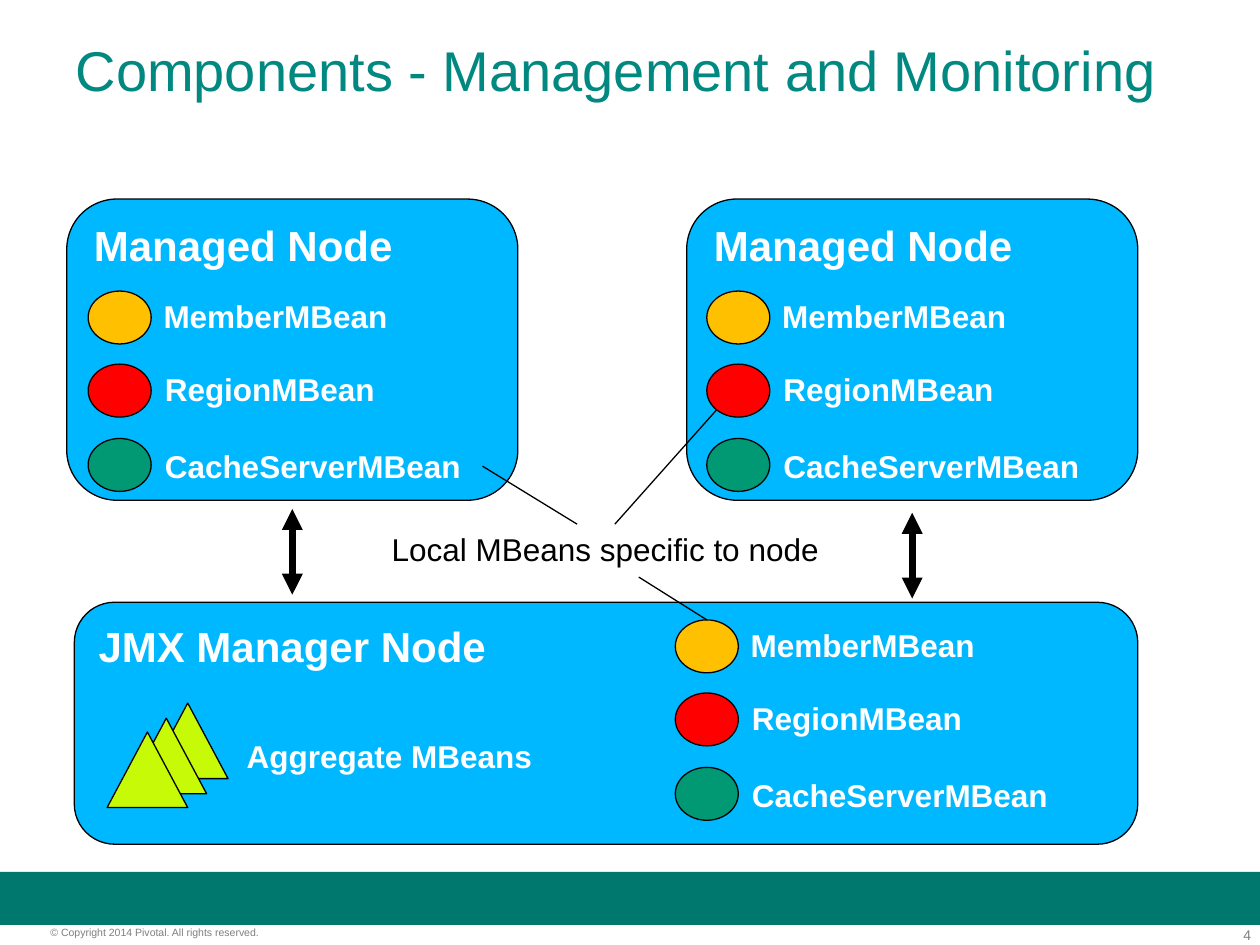
import pptx
import pptx.util
import pptx.dml.color
import pptx.enum.shapes
import pptx.enum.text
import pptx.oxml

PX = 9144
SHAPES = pptx.enum.shapes.MSO_SHAPE
ALIGN = pptx.enum.text.PP_ALIGN
ANCHOR = pptx.enum.text.MSO_ANCHOR
FIT = pptx.enum.text.MSO_AUTO_SIZE


def color(value):
    return pptx.dml.color.RGBColor.from_string(value)


def write(shape, text, size=18, ink="FFFFFF", bold=False, align=ALIGN.LEFT,
          anchor=ANCHOR.TOP, wrap=True, fit=FIT.NONE, inset=(10, 5)):
    frame = shape.text_frame
    frame.word_wrap = wrap
    frame.auto_size = fit
    frame.vertical_anchor = anchor
    frame.margin_left = frame.margin_right = inset[0] * PX
    frame.margin_top = frame.margin_bottom = inset[1] * PX
    para = frame.paragraphs[0]
    para.alignment = align
    span = para.add_run()
    span.text = text
    span.font.name = "Arial"
    span.font.size = pptx.util.Pt(size)
    span.font.bold = bold
    span.font.color.rgb = color(ink)


deck = pptx.Presentation()
deck.slide_width = 1000 * PX
deck.slide_height = 750 * PX
page = deck.slides.add_slide(deck.slide_layouts[5])

band = page.shapes.add_shape(SHAPES.RECTANGLE, 0, 692 * PX, 1000 * PX, 42 * PX)
band.shadow.inherit = False
band.fill.solid()
band.fill.fore_color.rgb = color("00786E")
band.line.fill.background()

title = page.shapes.title
title.left, title.top, title.width, title.height = 50 * PX, -8 * PX, 900 * PX, 125 * PX
write(title, "Components - Management and Monitoring", size=32, ink="008881",
      anchor=ANCHOR.MIDDLE)

outlined = [
    (SHAPES.ROUNDED_RECTANGLE, 59, 478, 844, 192, "00B8FF", "JMX Manager Node"),
    (SHAPES.ROUNDED_RECTANGLE, 53, 158, 358, 239, "00B8FF", "Managed Node"),
    (SHAPES.ROUNDED_RECTANGLE, 545, 158, 358, 239, "00B8FF", "Managed Node"),
]
labels = [
    (301, 416, 374, "Local MBeans specific to node",
     {"ink": "000000", "wrap": False}),
    (186, 580, 249, "Aggregate MBeans", {"bold": True, "wrap": False}),
]
beans = [
    ("MemberMBean", "FFC000", 0, 50, 0),
    ("RegionMBean", "FF0000", 58, 51, 58),
    ("CacheServerMBean", "009973", 117, 51, 119),
]
for left, top in [(70, 231), (561, 231), (536, 492)]:
    for name, fill, drop, label_shift, label_drop in beans:
        outlined.append((SHAPES.OVAL, left, top + drop, 50, 42, fill, ""))
        labels.append((left + label_shift, top + label_drop, 304, name, {"bold": True}))
for left, top in [(117, 558), (100, 570), (85, 581)]:
    outlined.append((SHAPES.ISOSCELES_TRIANGLE, left, top, 64, 60, "C6FA06", ""))

for kind, left, top, width, height, fill, text in outlined:
    shape = page.shapes.add_shape(kind, left * PX, top * PX, width * PX, height * PX)
    shape.shadow.inherit = False
    shape.fill.solid()
    shape.fill.fore_color.rgb = color(fill)
    shape.line.color.rgb = color("000000")
    shape.line.width = pptx.util.Pt(0.75)
    if text:
        write(shape, text, size=24, bold=True)

for left, top, width, text, style in labels:
    box = page.shapes.add_textbox(left * PX, top * PX, width * PX, 40 * PX)
    write(box, text, fit=FIT.SHAPE_TO_FIT_TEXT, **style)

for x1, y1, x2, y2, weight, arrows in [
    (488, 416, 569, 325, 0.75, False),
    (383, 370, 458, 416, 0.75, False),
    (507, 458, 561, 492, 0.75, False),
    (232, 472, 232, 404, 4, True),
    (724, 475, 724, 407, 4, True),
]:
    link = page.shapes.add_connector(pptx.enum.shapes.MSO_CONNECTOR.STRAIGHT,
                                     x1 * PX, y1 * PX, x2 * PX, y2 * PX)
    link.line.color.rgb = color("000000")
    link.line.width = pptx.util.Pt(weight)
    properties = link._element.spPr
    properties.append(pptx.oxml.parse_xml(
        '<a:effectLst xmlns:a="http://schemas.openxmlformats.org/drawingml/2006/main"/>'))
    if arrows:
        for end in ("headEnd", "tailEnd"):
            link.line._get_or_add_ln().append(pptx.oxml.parse_xml(
                f'<a:{end} xmlns:a="http://schemas.openxmlformats.org/drawingml/2006/main"'
                ' type="triangle"/>'))

for left, width, height, text, size, align in [
    (935, 58, 13, "4", 8, ALIGN.RIGHT),
    (40, 249, 10, "© Copyright 2014 Pivotal. All rights reserved.", 6, ALIGN.LEFT),
]:
    box = page.shapes.add_textbox(left * PX, 735 * PX, width * PX, height * PX)
    write(box, text, size=size, ink="7F7F7F", align=align,
          fit=FIT.SHAPE_TO_FIT_TEXT, inset=(0, 0))

deck.save("out.pptx")
